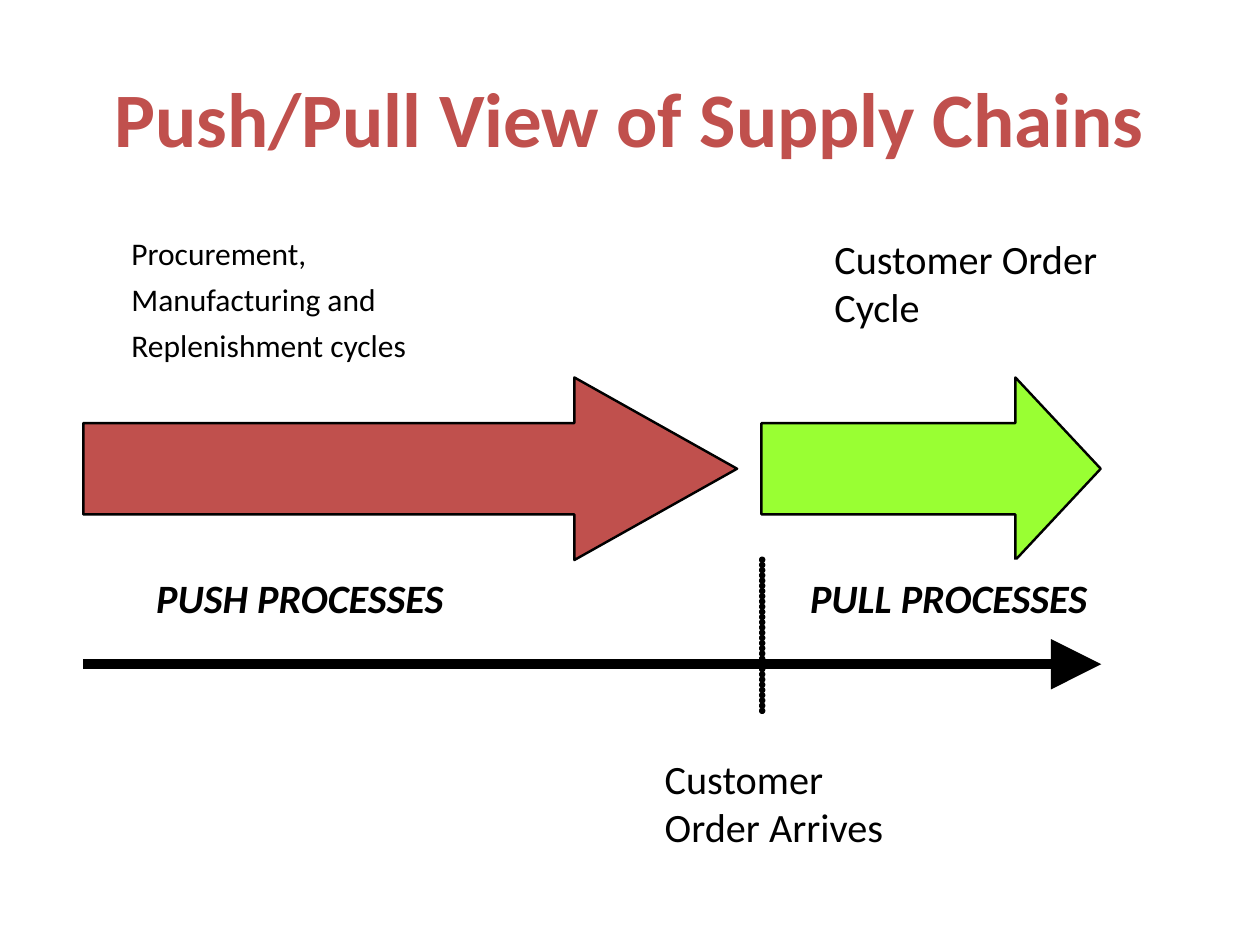
from dataclasses import dataclass

import pptx
import pptx.dml.color
import pptx.enum.shapes
import pptx.enum.text
import pptx.oxml
import pptx.oxml.ns
import pptx.util

Cm = pptx.util.Cm
Pt = pptx.util.Pt

COLORS = {"red": "C0504D", "green": "99FF33", "black": "000000", "white": "FFFFFF"}
FONT = "Calibri"
TIMELINE = (1.68, 13.39, 22.2, 13.39)
ARROW_TOP = 7.61
ARROW_HEIGHT = 3.68
DOT_LEFT = 15.34
DOT_TOP = 11.26
DOT_SIZE = 0.05
DOT_PITCH = 0.105
DOT_COUNT = 30


@dataclass
class BlockArrow:
    left: float
    width: float
    head: float
    color: str


@dataclass
class Panel:
    left: float
    top: float
    width: float
    height: float
    lines: tuple[str, ...]
    size: float = 23
    gap: float = 0
    inset: float = 0.25
    emphasis: bool = False


ARROWS = (
    BlockArrow(1.68, 13.18, 3.28, "red"),
    BlockArrow(15.35, 6.84, 1.72, "green"),
)
PANELS = (
    Panel(2.16, 4.47, 8.3, 3.08,
          ("Procurement,", "Manufacturing and", "Replenishment cycles"), 18, 4.8),
    Panel(16.33, 4.47, 6.35, 2.62, ("Customer Order", "Cycle")),
    Panel(12.91, 14.96, 5.36, 2.62, ("Customer", "Order Arrives")),
    Panel(2.66, 11.28, 7.82, 1.57, ("PUSH PROCESSES",), inset=0.28, emphasis=True),
    Panel(15.84, 11.28, 7.82, 1.57, ("PULL PROCESSES",), inset=0.28, emphasis=True),
)


def rgb(name: str) -> pptx.dml.color.RGBColor:
    return pptx.dml.color.RGBColor.from_string(COLORS[name])


def set_font(font, color: str, **values) -> None:
    for name, value in {"name": FONT, **values}.items():
        setattr(font, name, value)
    font.color.rgb = rgb(color)


def draw_title(page, text: str) -> None:
    title = page.shapes.title
    position = {"left": 1.27, "top": 0.76, "width": 22.86, "height": 3.18}
    for name, value in position.items():
        setattr(title, name, Cm(value))
    title.text_frame.text = text
    title.text_frame.vertical_anchor = pptx.enum.text.MSO_ANCHOR.MIDDLE
    para = title.text_frame.paragraphs[0]
    para.alignment = pptx.enum.text.PP_ALIGN.CENTER
    set_font(para.runs[0].font, "red", size=Pt(44), bold=True)


def draw_shape(page, kind, frame: tuple[float, ...], color: str, outline: float):
    shape = page.shapes.add_shape(kind, *(Cm(value) for value in frame))
    shape.shadow.inherit = False
    shape.fill.solid()
    shape.fill.fore_color.rgb = rgb(color)
    shape.line.color.rgb = rgb("black")
    shape.line.width = Pt(outline)
    return shape


def draw_block_arrow(page, arrow: BlockArrow) -> None:
    frame = (arrow.left, ARROW_TOP, arrow.width, ARROW_HEIGHT)
    shape = draw_shape(page, pptx.enum.shapes.MSO_SHAPE.RIGHT_ARROW, frame, arrow.color, 1.38)
    shape.adjustments[0] = 0.5
    shape.adjustments[1] = arrow.head / ARROW_HEIGHT


def draw_timeline(page) -> None:
    connector = page.shapes.add_connector(
        pptx.enum.shapes.MSO_CONNECTOR.STRAIGHT, *(Cm(value) for value in TIMELINE)
    )
    connector.line.color.rgb = rgb("black")
    connector.line.width = Pt(5.75)
    namespace = pptx.oxml.ns.nsdecls("a")
    properties = connector._element.spPr
    properties.find(pptx.oxml.ns.qn("a:ln")).append(
        pptx.oxml.parse_xml(f'<a:tailEnd {namespace} type="triangle" w="lg" len="lg"/>')
    )
    properties.append(pptx.oxml.parse_xml(f"<a:effectLst {namespace}/>"))


def draw_order_marker(page) -> None:
    for index in range(DOT_COUNT):
        frame = (DOT_LEFT, DOT_TOP + index * DOT_PITCH, DOT_SIZE, DOT_SIZE)
        draw_shape(page, pptx.enum.shapes.MSO_SHAPE.OVAL, frame, "black", 2.25)


def draw_panel(page, panel: Panel) -> None:
    position = (panel.left, panel.top, panel.width, panel.height)
    box = page.shapes.add_textbox(*(Cm(value) for value in position))
    box.fill.solid()
    box.fill.fore_color.rgb = rgb("white")
    frame = box.text_frame
    frame.word_wrap = True
    margins = {"left": 0.49, "top": panel.inset, "right": 0, "bottom": 0}
    for side, value in margins.items():
        setattr(frame, f"margin_{side}", Cm(value))
    for index, text in enumerate(panel.lines):
        para = frame.add_paragraph() if index else frame.paragraphs[0]
        if index and panel.gap:
            para.space_before = Pt(panel.gap)
        span = para.add_run()
        span.text = text
        set_font(span.font, "black", size=Pt(panel.size),
                 bold=panel.emphasis, italic=panel.emphasis)


def main() -> None:
    deck = pptx.Presentation()
    deck.slide_width, deck.slide_height = Cm(25.4), Cm(19.05)
    page = deck.slides.add_slide(deck.slide_layouts[5])
    draw_title(page, "Push/Pull View of Supply Chains")
    for arrow in ARROWS:
        draw_block_arrow(page, arrow)
    draw_timeline(page)
    draw_order_marker(page)
    for panel in PANELS:
        draw_panel(page, panel)
    deck.save("out.pptx")


if __name__ == "__main__":
    main()
